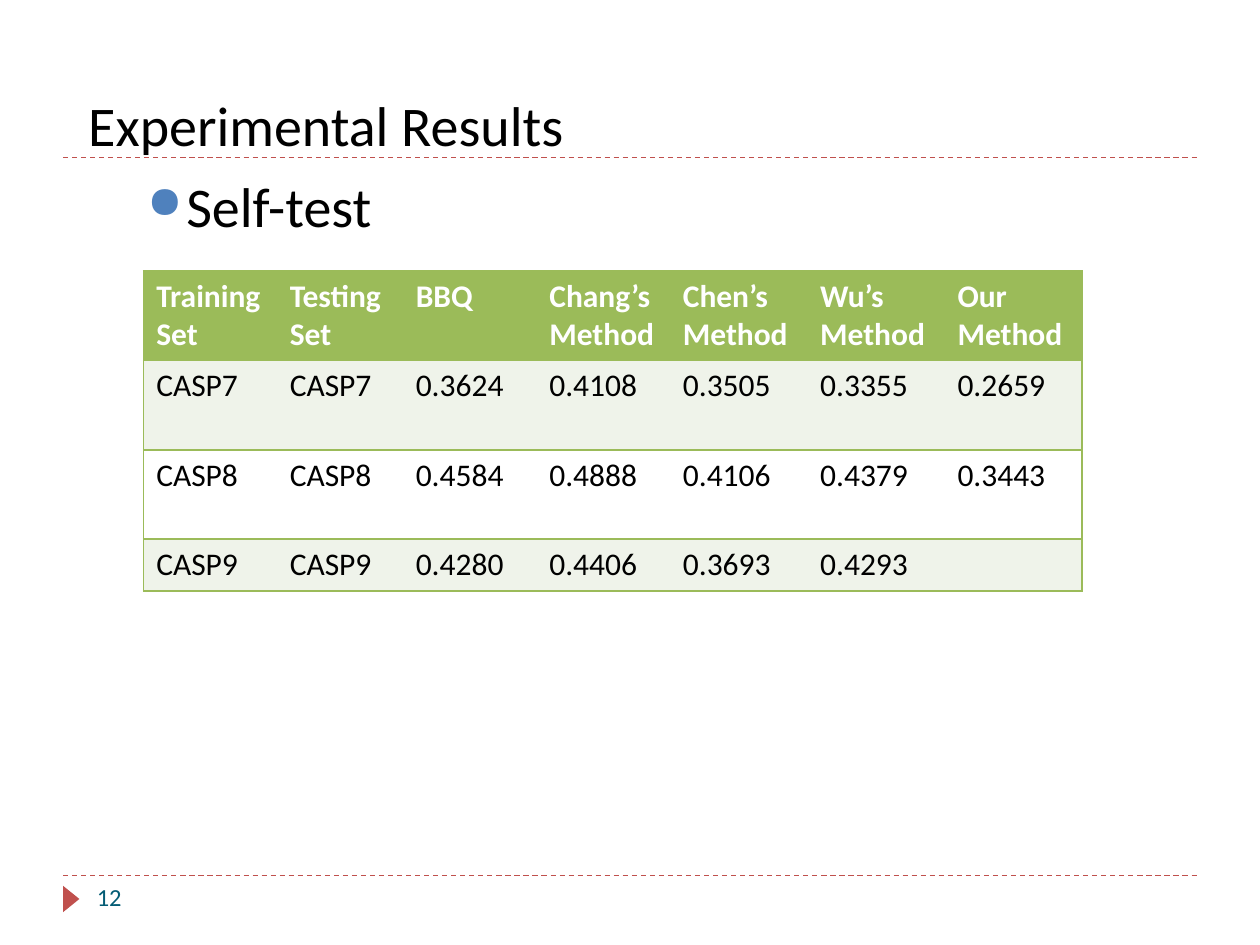
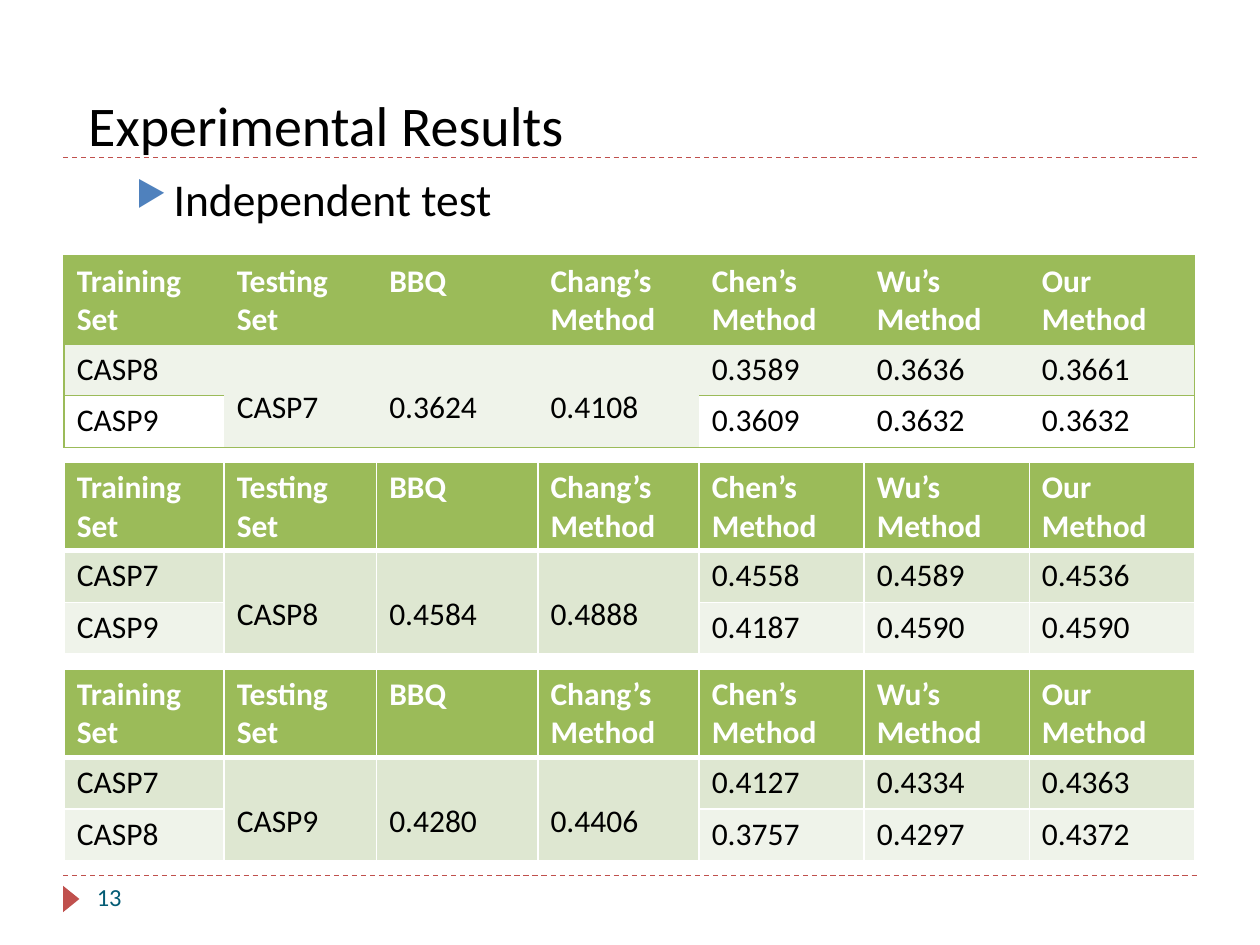
import pptx
import pptx.util
import pptx.dml.color
import pptx.enum.dml
import pptx.enum.shapes
import pptx.enum.text
import pptx.oxml
import pptx.oxml.ns
from lxml import etree

Inches = pptx.util.Inches
Pt = pptx.util.Pt
RGB = pptx.dml.color.RGBColor.from_string
qn = pptx.oxml.ns.qn


class Theme:
    font = "Calibri"
    black, white = "000000", "FFFFFF"
    red, blue, teal = "C0504D", "4F81BD", "045C75"
    green, mid_green, pale_green = "9BBB59", "DEE7D1", "EFF3EA"
    title_size, number_size, cell_size = 32, 14, 18
    no_grid_style = "{2D5ABB26-0587-4C30-8999-92F81FD0307C}"


def write(frame, text, size, color=Theme.black, bold=False, spacing=None, bullet=None, indent=0):
    frame.word_wrap = True
    for index, line in enumerate(text.split("\n")):
        paragraph = frame.add_paragraph() if index else frame.paragraphs[0]
        paragraph.alignment = pptx.enum.text.PP_ALIGN.LEFT
        if spacing:
            paragraph.line_spacing = spacing
        if bullet:
            symbol, percent, hanging = bullet
            properties = paragraph._p.get_or_add_pPr()
            properties.set("marL", str(Inches(indent)))
            properties.set("indent", str(-Inches(hanging)))
            bullet_color = etree.SubElement(properties, qn("a:buClr"))
            etree.SubElement(bullet_color, qn("a:srgbClr"), val=Theme.blue)
            etree.SubElement(properties, qn("a:buSzPct"), val=str(percent * 1000))
            etree.SubElement(properties, qn("a:buChar"), char=symbol)
        run = paragraph.add_run()
        run.text = line
        run.font.name = Theme.font
        run.font.size = Pt(size)
        run.font.bold = bold
        run.font.color.rgb = RGB(color)


def add_results(slide, left, top, widths, heights, rows, outlined, merged_columns=()):
    table_frame = slide.shapes.add_table(
        len(rows), len(widths), Inches(left), Inches(top), Inches(sum(widths)), Inches(sum(heights)))
    results = table_frame.table
    results._tbl.tblPr.find(qn("a:tableStyleId")).text = Theme.no_grid_style
    for column, width in zip(results.columns, widths):
        column.width = Inches(width)
    for row, height in zip(results.rows, heights):
        row.height = Inches(height)
    for column in merged_columns:
        results.cell(1, column).merge(results.cell(2, column))
    stripes = (Theme.pale_green, Theme.white) if outlined else (Theme.mid_green, Theme.pale_green)
    last = len(widths) - 1
    for r, values in enumerate(rows):
        for c, value in enumerate(values):
            cell = results.cell(r, c)
            sides = "LRTB"
            if outlined:
                sides = ("L" if c == 0 else "") + ("R" if c == last else "") + "TB"
            if cell.is_spanned:
                sides = sides.replace("T", "")
            for side in sides:
                thick = 3 if not outlined and (r, side) in ((0, "B"), (1, "T")) else 1
                edge = etree.SubElement(cell._tc.get_or_add_tcPr(), qn(f"a:ln{side}"), w=str(Pt(thick)))
                edge_fill = etree.SubElement(edge, qn("a:solidFill"))
                etree.SubElement(edge_fill, qn("a:srgbClr"), val=Theme.green if outlined else Theme.white)
            cell.fill.solid()
            cell.fill.fore_color.rgb = RGB(stripes[(r - 1) % 2] if r else Theme.green)
            if value:
                write(cell.text_frame, value, Theme.cell_size, bold=r == 0,
                      color=Theme.black if r else Theme.white,
                      spacing=2.0 if cell.is_merge_origin else None)


deck = pptx.Presentation()
deck.slide_width = Inches(10)
deck.slide_height = Inches(7.5)

pages = [
    (12, "Self-test", 32, ("●", 80, 0.31), 0.4, 7.01, 0.55),
    (13, "Independent test", 26, ("▶", 76, 0.3), 0.3, 8.2, 0.55),
]
for number, topic, topic_size, bullet, indent, topic_width, topic_height in pages:
    slide = deck.slides.add_slide(deck.slide_layouts[5])

    for rule_y in (6.95, 1.25):
        rule = slide.shapes.add_connector(
            pptx.enum.shapes.MSO_CONNECTOR.STRAIGHT, Inches(0.5), Inches(rule_y), Inches(9.5), Inches(rule_y))
        rule.line.color.rgb = RGB(Theme.red)
        rule.line.width = Pt(0.75)
        rule.line.dash_style = pptx.enum.dml.MSO_LINE.DASH
        etree.SubElement(rule._element.spPr, qn("a:effectLst"))

    page_marker = slide.shapes.add_shape(
        pptx.enum.shapes.MSO_SHAPE.ISOSCELES_TRIANGLE, Inches(0.46), Inches(7.07), Inches(0.21), Inches(0.13))
    page_marker.rotation = 90
    page_marker.shadow.inherit = False
    page_marker.fill.solid()
    page_marker.fill.fore_color.rgb = RGB(Theme.red)
    page_marker.line.fill.background()

    page_number = slide.shapes.add_textbox(Inches(0.67), Inches(6.95), Inches(2.17), Inches(0.4))
    write(page_number.text_frame, str(number), Theme.number_size, color=Theme.teal)

    heading = slide.shapes.title
    heading.left, heading.top = Inches(0.7), Inches(0.23)
    heading.width, heading.height = Inches(8.8), Inches(1.02)
    heading_frame = heading.text_frame
    heading_frame.auto_size = pptx.enum.text.MSO_AUTO_SIZE.NONE
    heading_frame.vertical_anchor = pptx.enum.text.MSO_ANCHOR.BOTTOM
    heading_frame.margin_left = heading_frame.margin_right = heading_frame.margin_bottom = 0
    heading_frame.margin_top = Inches(0.05)
    write(heading_frame, "Experimental Results", Theme.title_size)

    topic_box = slide.shapes.add_textbox(
        Inches(0.98), Inches(1.31), Inches(topic_width), Inches(topic_height))
    write(topic_box.text_frame, topic, topic_size, bullet=bullet, indent=indent)

self_test, independent_test = deck.slides
methods = ["Training\nSet", "Testing\nSet", "BBQ", "Chang’s Method", "Chen’s Method", "Wu’s Method"]

add_results(
    self_test, 1.14, 2.15, [1.06, 1, 1.06, 1.06, 1.09, 1.09, 1.09], [0.71, 0.71, 0.71, 0.41],
    [
        methods + ["Our\nMethod"],
        ["CASP7", "CASP7", "0.3624", "0.4108", "0.3505", "0.3355", "0.2659"],
        ["CASP8", "CASP8", "0.4584", "0.4888", "0.4106", "0.4379", "0.3443"],
        ["CASP9", "CASP9", "0.4280", "0.4406", "0.3693", "0.4293", ""],
    ],
    outlined=True)

independent_results = [
    (["CASP8", "CASP7", "0.3624", "0.4108", "0.3589", "0.3636", "0.3661"],
     ["CASP9", "", "", "", "0.3609", "0.3632", "0.3632"]),
    (["CASP7", "CASP8", "0.4584", "0.4888", "0.4558", "0.4589", "0.4536"],
     ["CASP9", "", "", "", "0.4187", "0.4590", "0.4590"]),
    (["CASP7", "CASP9", "0.4280", "0.4406", "0.4127", "0.4334", "0.4363"],
     ["CASP8", "", "", "", "0.3757", "0.4297", "0.4372"]),
]
for position, test_rows in enumerate(independent_results):
    add_results(
        independent_test, 0.51, 2.03 + 1.64 * position, [1.27, 1.21, 1.28, 1.28, 1.31, 1.31, 1.31],
        [0.7, 0.41, 0.41], [methods + ["Our Method"], *test_rows],
        outlined=position == 0, merged_columns=(1, 2, 3))

deck.save("out.pptx")
